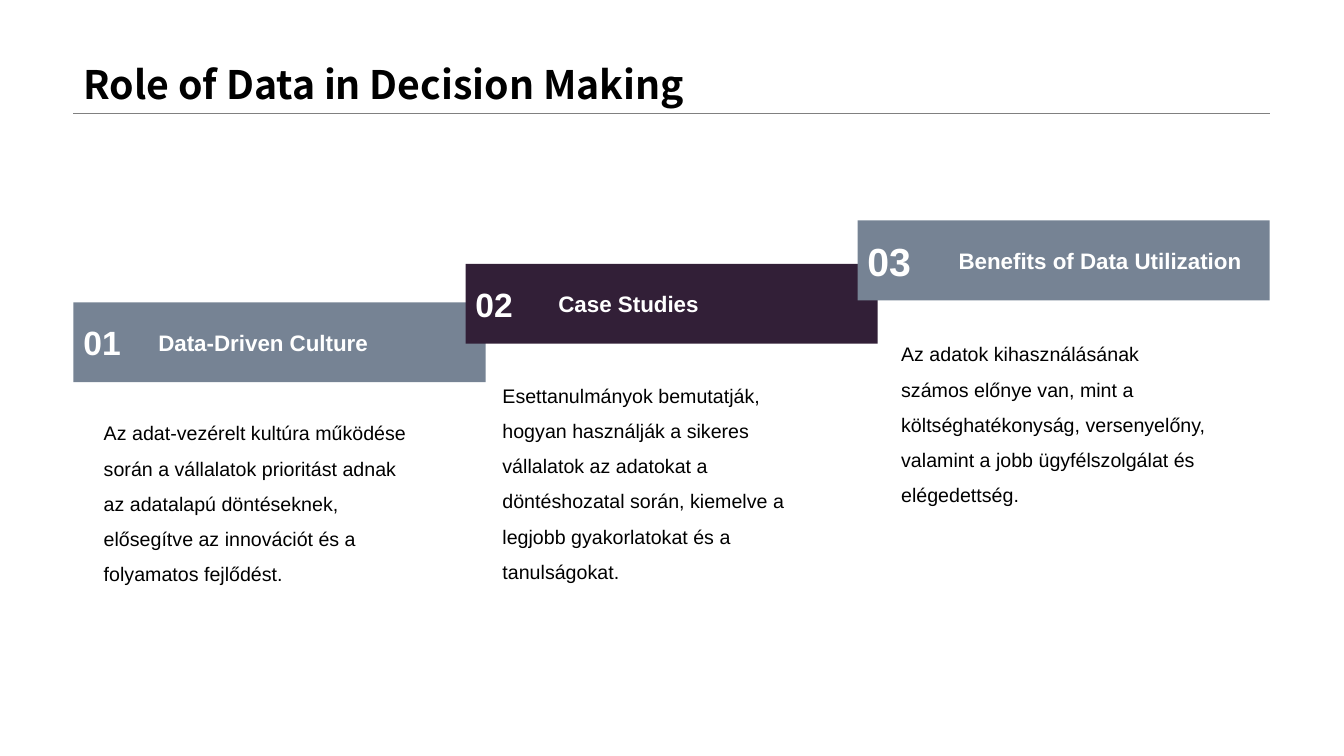
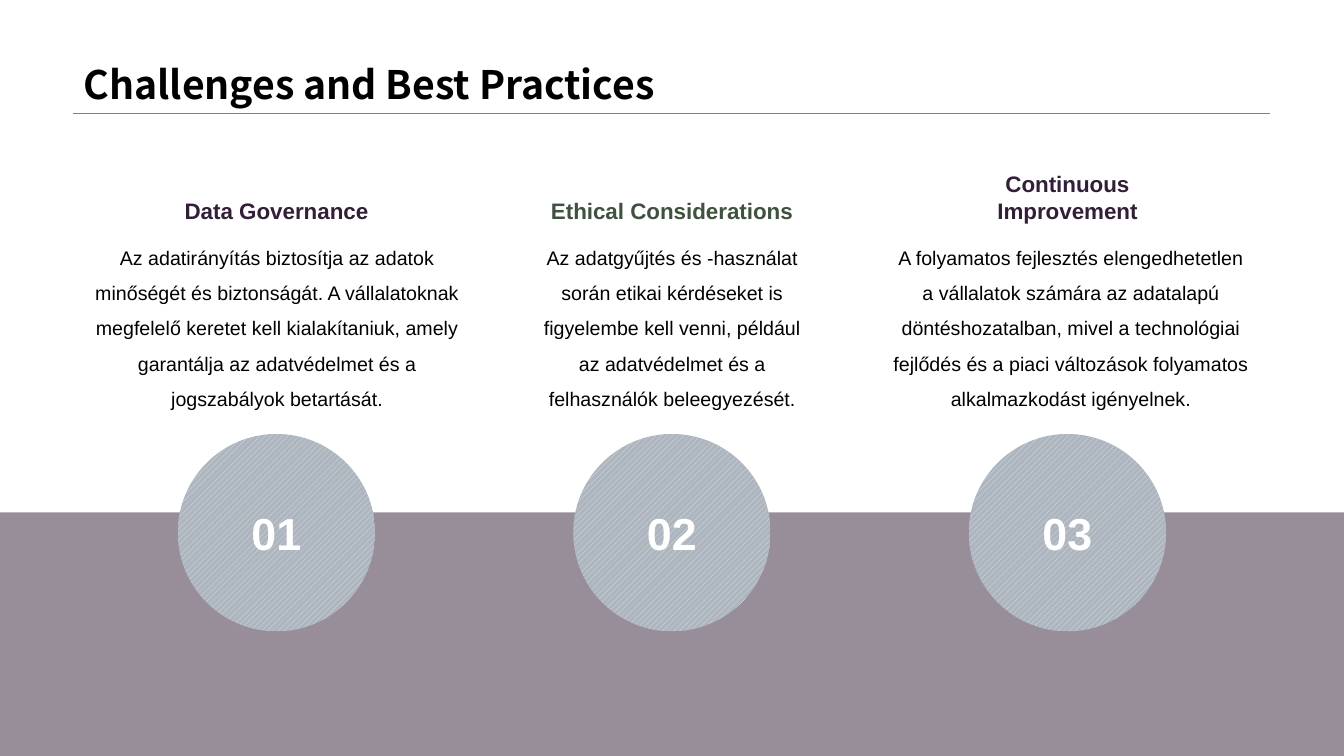
from dataclasses import dataclass

from lxml import etree
from pptx import Presentation
from pptx.dml.color import RGBColor
from pptx.enum.dml import MSO_PATTERN
from pptx.enum.shapes import MSO_CONNECTOR, MSO_SHAPE
from pptx.enum.text import MSO_ANCHOR, MSO_AUTO_SIZE, PP_ALIGN
from pptx.oxml.ns import qn
from pptx.util import Pt

LEFT, CENTER = PP_ALIGN.LEFT, PP_ALIGN.CENTER
TOP, MIDDLE, BOTTOM = MSO_ANCHOR.TOP, MSO_ANCHOR.MIDDLE, MSO_ANCHOR.BOTTOM
RECTANGLE, OVAL = MSO_SHAPE.RECTANGLE, MSO_SHAPE.OVAL
STRAIGHT = MSO_CONNECTOR.STRAIGHT
DIAGONAL = MSO_PATTERN.WIDE_UPWARD_DIAGONAL
NO_AUTOFIT = MSO_AUTO_SIZE.NONE
TITLE_ONLY = 5


@dataclass(frozen=True)
class Theme:
    black: str = "000000"
    white: str = "FFFFFF"
    plum: str = "321F37"
    slate: str = "768394"
    green: str = "3F513F"
    rule: str = "808080"
    stripe: str = "E4E6EA"
    disc: str = "ADB5BF"
    title_font: str = "Noto Sans CJK SC"
    text_font: str = "Arial"
    title_size: int = 28
    number_size: int = 24
    large_number_size: int = 28
    heading_size: int = 16
    body_size: int = 14
    disc_size: int = 32
    page_width: int = 960
    page_height: int = 540
    margin: float = 52.5
    content_width: float = 854.5
    title_height: int = 81


THEME = Theme()


class Deck:
    """Holds the style and the page being built."""

    def __init__(self, theme):
        self.theme = theme
        self.presentation = Presentation()
        self.presentation.slide_width = Pt(theme.page_width)
        self.presentation.slide_height = Pt(theme.page_height)
        self.page = None

    def add_page(self, title):
        theme = self.theme
        layout = self.presentation.slide_layouts[TITLE_ONLY]
        self.page = self.presentation.slides.add_slide(layout)
        self.rule(theme.margin, theme.title_height, theme.content_width)
        box = self.page.shapes.title
        box.left, box.top = Pt(theme.margin), Pt(0)
        box.width, box.height = Pt(theme.content_width), Pt(theme.title_height)
        self.fill_text(box, title, theme.title_size, theme.black, bold=True,
                       anchor=BOTTOM, spacing=0.9, font=theme.title_font)

    def fill_text(self, box, text, size, color, bold=False, align=LEFT,
                  anchor=TOP, spacing=1.0, font=None):
        frame = box.text_frame
        frame.text = text
        frame.word_wrap = True
        frame.auto_size = NO_AUTOFIT
        frame.vertical_anchor = anchor
        para = frame.paragraphs[0]
        para.alignment = align
        para.line_spacing = spacing
        span = para.runs[0]
        span.font.name = font or self.theme.text_font
        span.font.size = Pt(size)
        span.font.bold = bold
        span.font.color.rgb = RGBColor.from_string(color)

    def rule(self, left, top, width):
        line = self.page.shapes.add_connector(
            STRAIGHT, Pt(left), Pt(top), Pt(left + width), Pt(top))
        line.line.color.rgb = RGBColor.from_string(self.theme.rule)
        line.line.width = Pt(0.25)
        etree.SubElement(line._element.spPr, qn("a:effectLst"))

    def text(self, left, top, width, height, text, size, color, **style):
        box = self.page.shapes.add_textbox(
            Pt(left), Pt(top), Pt(width), Pt(height))
        self.fill_text(box, text, size, color, **style)

    def heading(self, left, top, width, height, text, color, **style):
        self.text(left, top, width, height, text, self.theme.heading_size,
                  color, bold=True, **style)

    def body(self, left, top, width, height, text, align=LEFT):
        self.text(left, top, width, height, text, self.theme.body_size,
                  self.theme.black, align=align, spacing=1.5)

    def shape(self, kind, left, top, width, height):
        shape = self.page.shapes.add_shape(
            kind, Pt(left), Pt(top), Pt(width), Pt(height))
        shape.shadow.inherit = False
        shape.line.fill.background()
        return shape

    def band(self, left, top, width, height, color, opacity=100):
        band = self.shape(RECTANGLE, left, top, width, height)
        band.fill.solid()
        band.fill.fore_color.rgb = RGBColor.from_string(color)
        if opacity < 100:
            tint = band._element.spPr.find(".//" + qn("a:srgbClr"))
            etree.SubElement(tint, qn("a:alpha"), val=str(opacity * 1000))
        return band

    def disc(self, left, top, diameter, number):
        theme = self.theme
        disc = self.shape(OVAL, left, top, diameter, diameter)
        disc.fill.patterned()
        disc.fill.pattern = DIAGONAL
        disc.fill.fore_color.rgb = RGBColor.from_string(theme.stripe)
        disc.fill.back_color.rgb = RGBColor.from_string(theme.disc)
        self.fill_text(disc, number, theme.disc_size, theme.white, bold=True,
                       align=CENTER, anchor=MIDDLE)


def build_role_page(deck):
    theme = deck.theme
    deck.add_page("Role of Data in Decision Making")
    band_width, band_height = 294.5, 57
    band_step = (theme.content_width - band_width) / 2
    # Band top, colour, number size, label, body gap, body text
    steps = [
        (216, theme.slate, theme.number_size, "Data-Driven Culture", 73,
         "Az adat-vezérelt kultúra működése során a vállalatok prioritást "
         "adnak az adatalapú döntéseknek, elősegítve az innovációt és a "
         "folyamatos fejlődést."),
        (188.5, theme.plum, theme.number_size, "Case Studies", 73.5,
         "Esettanulmányok bemutatják, hogyan használják a sikeres vállalatok "
         "az adatokat a döntéshozatal során, kiemelve a legjobb "
         "gyakorlatokat és a tanulságokat."),
        (157.5, theme.slate, theme.large_number_size,
         "Benefits of Data Utilization", 75,
         "Az adatok kihasználásának számos előnye van, mint a "
         "költséghatékonyság, versenyelőny, valamint a jobb "
         "ügyfélszolgálat és elégedettség."),
    ]
    for index, (top, color, size, label, gap, text) in enumerate(steps):
        band = deck.band(theme.margin + index * band_step, top,
                         band_width, band_height, color)
        deck.fill_text(band, f"{index + 1:02}", size, theme.white, bold=True,
                       anchor=MIDDLE)
        deck.heading(106 + index * 285.8, top, 229.5, band_height, label,
                     theme.white, anchor=MIDDLE)
        deck.body(67 + index * 284.8, top + gap, 233.5, 158, text)


def build_practices_page(deck):
    theme = deck.theme
    deck.add_page("Challenges and Best Practices")
    floor_top = 366
    deck.band(0, floor_top, theme.page_width, theme.page_height - floor_top,
              theme.plum, opacity=50)
    diameter, heading_width, heading_height, body_top = 141, 207, 45, 163.5
    # Heading, colour, body left, body width, body text
    columns = [
        ("Data Governance", theme.plum, 54, 288,
         "Az adatirányítás biztosítja az adatok minőségét és biztonságát. "
         "A vállalatoknak megfelelő keretet kell kialakítaniuk, amely "
         "garantálja az adatvédelmet és a jogszabályok betartását."),
        ("Ethical Considerations", theme.green, 376.5, 207.5,
         "Az adatgyűjtés és -használat során etikai kérdéseket is figyelembe "
         "kell venni, például az adatvédelmet és a felhasználók "
         "beleegyezését."),
        ("Continuous Improvement", theme.plum, 630, 270,
         "A folyamatos fejlesztés elengedhetetlen a vállalatok számára az "
         "adatalapú döntéshozatalban, mivel a technológiai fejlődés és a "
         "piaci változások folyamatos alkalmazkodást igényelnek."),
    ]
    for index, (label, color, left, width, text) in enumerate(columns):
        center = theme.page_width / 2 + (index - 1) * 282.5
        deck.disc(center - diameter / 2, 310, diameter, f"{index + 1:02}")
        deck.heading(center - heading_width / 2, body_top - heading_height,
                     heading_width, heading_height, label, color,
                     align=CENTER, anchor=BOTTOM)
        deck.body(left, body_top, width, 133, text, align=CENTER)


def main():
    deck = Deck(THEME)
    build_role_page(deck)
    build_practices_page(deck)
    deck.presentation.save("out.pptx")


if __name__ == "__main__":
    main()
